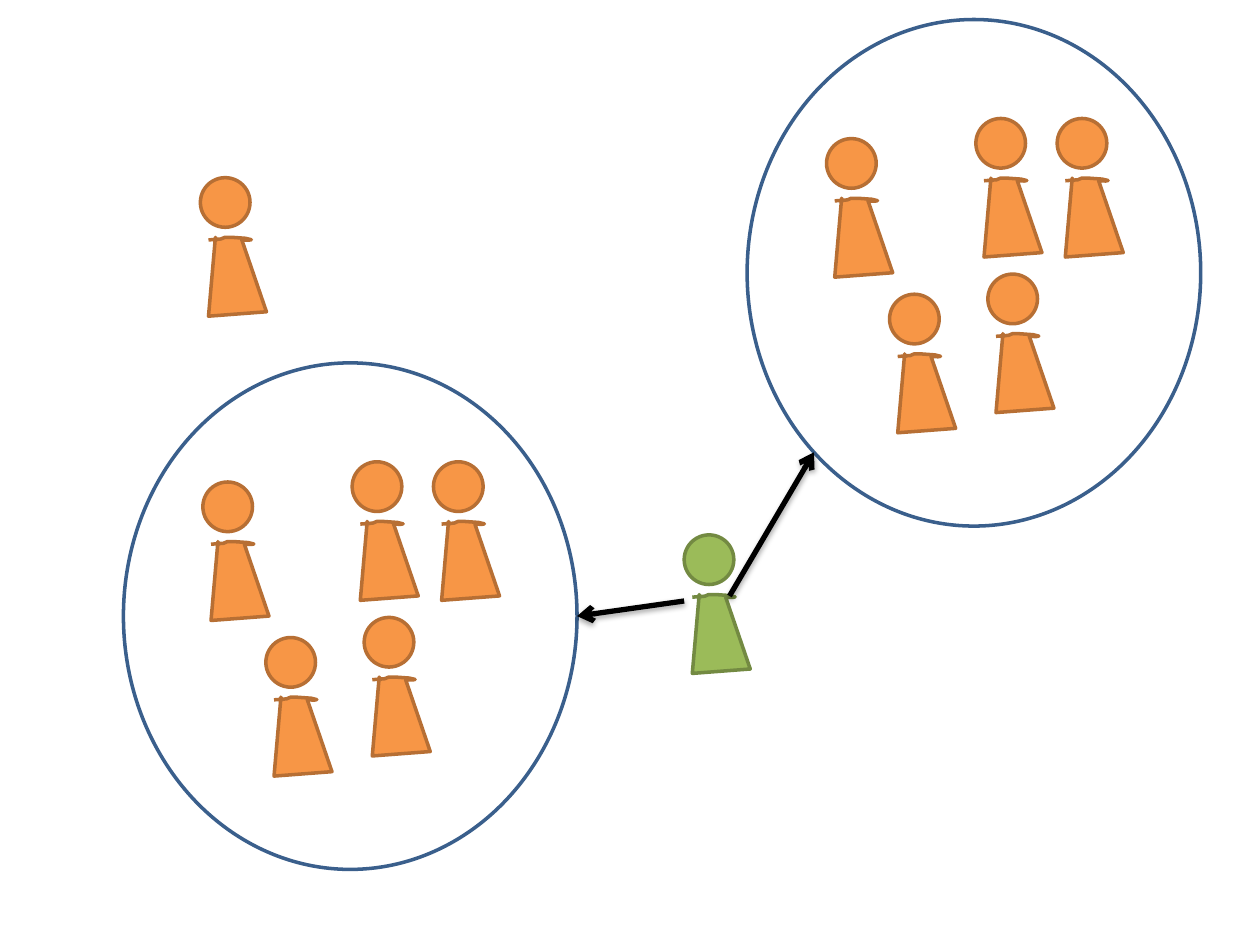
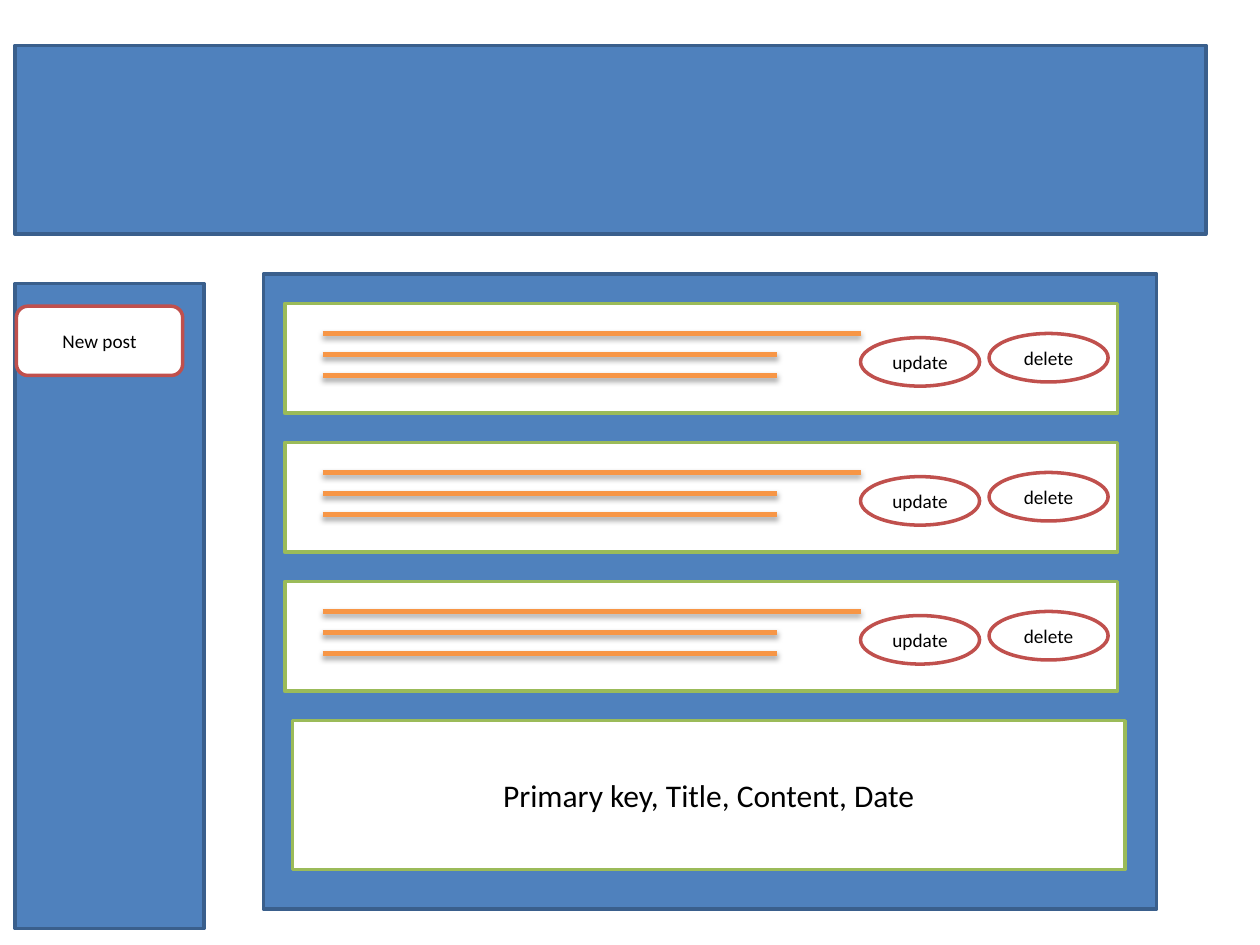
from lxml import etree
from pptx import Presentation
from pptx.dml.color import RGBColor
from pptx.enum.shapes import MSO_CONNECTOR, MSO_SHAPE
from pptx.enum.text import MSO_ANCHOR, PP_ALIGN
from pptx.oxml.ns import qn
from pptx.util import Inches, Pt

ELLIPSE = MSO_SHAPE.OVAL
RECTANGLE = MSO_SHAPE.RECTANGLE
BUTTON = MSO_SHAPE.FLOWCHART_ALTERNATE_PROCESS
STRAIGHT = MSO_CONNECTOR.STRAIGHT
MIDDLE = MSO_ANCHOR.MIDDLE
CENTER = PP_ALIGN.CENTER

WHITE, BLACK = "FFFFFF", "000000"
BLUE, DARK_BLUE = "4F81BD", "3A5F8C"
ORANGE, DARK_ORANGE = "F79646", "B76F34"
GREEN, DARK_GREEN = "9BBB59", "738A42"
RED = "C0504D"

presentation = Presentation()
presentation.slide_width = Inches(10)
presentation.slide_height = Inches(7.5)
blank_layout = presentation.slide_layouts[6]

# Grid of 100 columns and 75 rows
COLUMN = presentation.slide_width / 100
ROW = presentation.slide_height / 75


def paint(shape, fill, outline, text="", size=11):
    shape.shadow.inherit = False
    shape.fill.solid()
    shape.line.width = Pt(2)
    colours = [(shape.fill.fore_color, fill), (shape.line.color, outline)]
    if text:
        shape.text_frame.text = text
        paragraph = shape.text_frame.paragraphs[0]
        paragraph.alignment = CENTER
        shape.text_frame.vertical_anchor = MIDDLE
        font_format = {"name": "Calibri", "size": Pt(size)}
        for name, value in font_format.items():
            setattr(paragraph.runs[0].font, name, value)
        colours.append((paragraph.runs[0].font.color, BLACK))
    for target, colour in colours:
        target.rgb = RGBColor.from_string(colour)


def draw_line(shapes, start, end, colour, arrow=False):
    line = shapes.add_connector(
        STRAIGHT, int(start[0] * COLUMN), int(start[1] * ROW),
        int(end[0] * COLUMN), int(end[1] * ROW))
    line.line.width = Pt(3)
    line.line.color.rgb = RGBColor.from_string(colour)
    properties = line._element.spPr
    if arrow:
        etree.SubElement(properties.find(qn("a:ln")), qn("a:tailEnd"), type="arrow")
    # Soft shadow straight below the line
    effects = etree.SubElement(properties, qn("a:effectLst"))
    shadow = etree.SubElement(effects, qn("a:outerShdw"), blurRad="40000",
                              dist="23000", dir="5400000", rotWithShape="0")
    shade = etree.SubElement(shadow, qn("a:srgbClr"), val=BLACK)
    etree.SubElement(shade, qn("a:alpha"), val="35000")


# Slide 1: two crowds, one outsider and one person who joins both
slide = presentation.slides.add_slide(blank_layout)

HEAD = 3.94
CIRCLE_WIDTH, CIRCLE_HEIGHT = 36, 40.2
BODY_OUTLINE = [(0.65, 4.95), (1.65, 4.87), (1.95, 4.74), (2.5, 4.74),
                (3.6, 4.82), (4.05, 4.93), (3.85, 4.97), (3.3, 4.95),
                (5.25, 10.65), (0.65, 11), (1.2, 4.74), (1.3, 5.07)]
CROWD = [(6.3, 9.45), (18.15, 7.85), (24.6, 7.85), (19.1, 20.2), (11.3, 21.8)]
ALONE = [(0, 0)]

groups = [
    (15.9, 14.1, ALONE, ORANGE, DARK_ORANGE),
    (9.8, 28.8, CROWD, ORANGE, DARK_ORANGE),
    (54.3, 42.45, ALONE, GREEN, DARK_GREEN),
    (59.3, 1.55, CROWD, ORANGE, DARK_ORANGE),
]
for group_left, group_top, people, fill, outline in groups:
    shapes = slide.shapes.add_group_shape().shapes
    if people is CROWD:
        circle = shapes.add_shape(
            ELLIPSE, int(group_left * COLUMN), int(group_top * ROW),
            int(CIRCLE_WIDTH * COLUMN), int(CIRCLE_HEIGHT * ROW))
        paint(circle, WHITE, DARK_BLUE)
    for across, down in people:
        left, top = group_left + across, group_top + down
        head = shapes.add_shape(ELLIPSE, int(left * COLUMN), int(top * ROW),
                                int(HEAD * COLUMN), int(HEAD * ROW))
        paint(head, fill, outline)
        points = [((left + x) * COLUMN, (top + y) * ROW) for x, y in BODY_OUTLINE]
        builder = shapes.build_freeform(*points[0])
        builder.add_line_segments(points[1:], close=False)
        paint(builder.convert_to_shape(), fill, outline)

for start, end in [((54.3, 47.7), (45.8, 48.9)), ((57.9, 47.3), (64.6, 35.9))]:
    draw_line(slide.shapes, start, end, BLACK, arrow=True)

# Slide 2: page layout with header, sidebar and list of posts
slide = presentation.slides.add_slide(blank_layout)

panels = [
    (1.2, 3.6, 94.5, 15, BLUE, DARK_BLUE, ""),
    (1.2, 22.5, 15, 51.2, BLUE, DARK_BLUE, ""),
    (20.9, 21.75, 70.9, 50.4, BLUE, DARK_BLUE, ""),
    (23.2, 57.2, 66.1, 11.8, WHITE, GREEN, "Primary key, Title, Content, Date"),
]
for left, top, width, height, fill, outline, text in panels:
    panel = slide.shapes.add_shape(RECTANGLE, int(left * COLUMN), int(top * ROW),
                                   int(width * COLUMN), int(height * ROW))
    paint(panel, fill, outline, text, size=18)

# Posts: a card, three text lines and two buttons each
POST_COUNT, FIRST_POST, POST_PITCH = 3, 24.1, 11.03
LINE_LEFT, LINE_PITCH = 25.6, 1.67
LINE_ENDS = [68.3, 61.7, 61.7]
post_parts = [
    (RECTANGLE, 22.6, 0, 66.1, 8.7, GREEN, ""),
    (ELLIPSE, 68.3, 2.7, 9.45, 3.85, RED, "update"),
    (ELLIPSE, 78.5, 2.37, 9.45, 3.85, RED, "delete"),
]
for post in range(POST_COUNT):
    post_top = FIRST_POST + post * POST_PITCH
    shapes = slide.shapes.add_group_shape().shapes
    for kind, left, down, width, height, outline, text in post_parts:
        part = shapes.add_shape(
            kind, int(left * COLUMN), int((post_top + down) * ROW),
            int(width * COLUMN), int(height * ROW))
        paint(part, WHITE, outline, text)
    for index, line_end in enumerate(LINE_ENDS):
        line_top = post_top + 2.37 + index * LINE_PITCH
        draw_line(shapes, (LINE_LEFT, line_top), (line_end, line_top), ORANGE)

# Sidebar button
new_post = slide.shapes.add_shape(BUTTON, int(1.3 * COLUMN), int(24.3 * ROW),
                                  int(13.2 * COLUMN), int(5.5 * ROW))
paint(new_post, WHITE, RED, "New post")

presentation.save("out.pptx")
